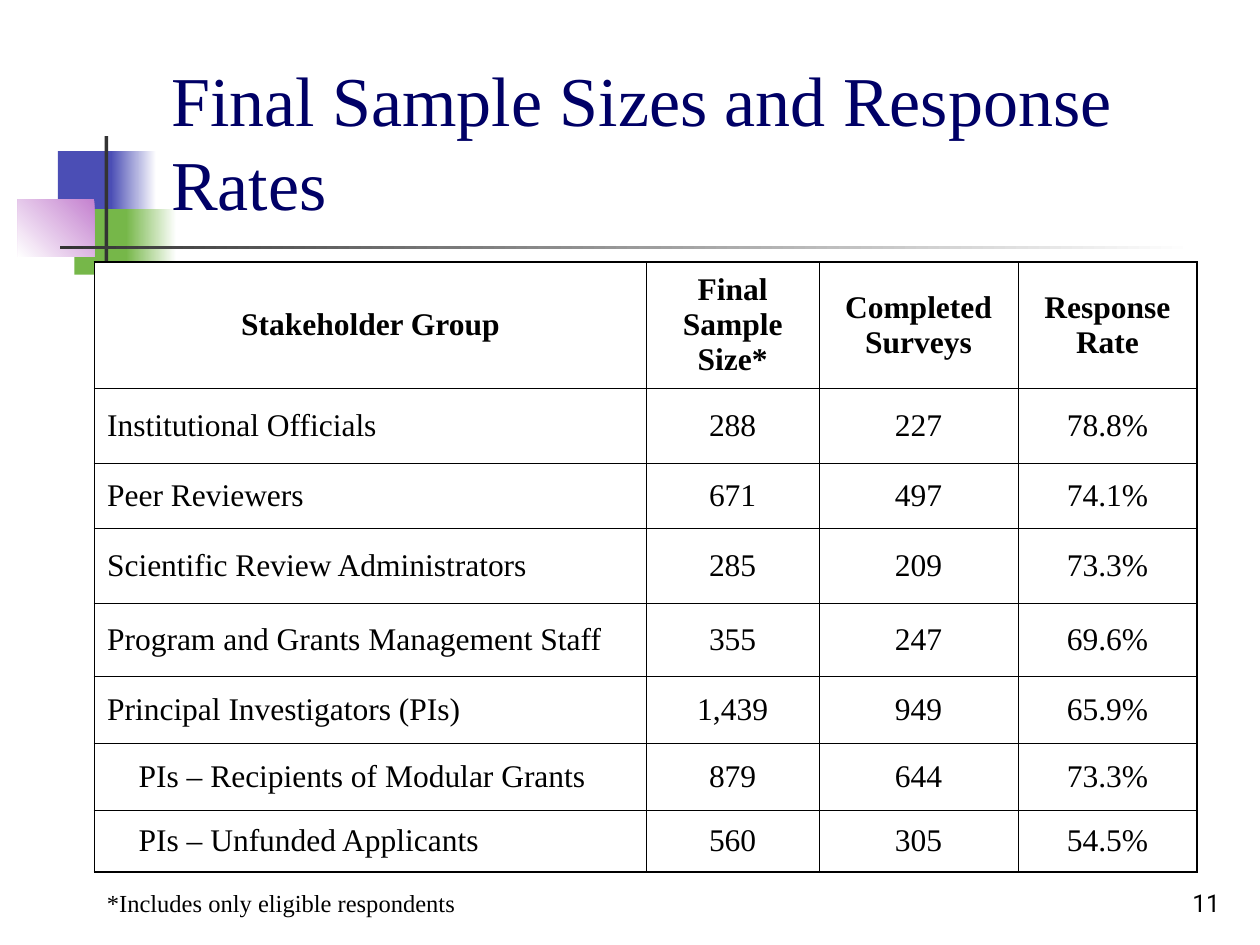
from pptx import Presentation
from pptx.dml.color import RGBColor
from pptx.enum.shapes import MSO_SHAPE
from pptx.enum.text import MSO_ANCHOR, MSO_AUTO_SIZE, PP_ALIGN
from pptx.oxml import parse_xml
from pptx.oxml.ns import nsdecls
from pptx.util import Inches, Pt

COLORS = {
    "white": "FFFFFF", "black": "000000", "navy": "000066", "blue": "4B4EB5",
    "green": "76B749", "pink": "C481CF", "charcoal": "333333",
}
SERIF = "Times New Roman"


def style_paragraph(para, size, color="black", name=SERIF, bold=False, align=PP_ALIGN.LEFT):
    para.alignment = align
    para.font.size = Pt(size)
    para.font.name = name
    para.font.bold = bold
    para.font.color.rgb = RGBColor.from_string(COLORS[color])


def add_border(cell, side, width):
    properties = cell._tc.get_or_add_tcPr()
    position = ["L", "R", "T", "B"].index(side)
    properties.insert(position, parse_xml(
        f'<a:ln{side} {nsdecls("a")} w="{Pt(width)}"><a:solidFill>'
        f'<a:srgbClr val="{COLORS["black"]}"/></a:solidFill></a:ln{side}>'))


deck = Presentation()
deck.slide_width = Inches(10)
deck.slide_height = Inches(7.5)
page = deck.slides.add_slide(deck.slide_layouts[5])

ornaments = [
    (0.46, 1.2, 0.48, 0.52, ["blue"], None),
    (0.88, 1.2, 0.36, 0.52, ["white", "blue"], 180),
    (0.59, 1.66, 0.46, 0.52, ["green"], None),
    (1, 1.66, 0.4, 0.52, ["white", "green"], 180),
    (0.14, 1.58, 0.61, 0.46, ["pink", "white"], 225),
    (0.83, 1.08, 0.03, 1.15, ["charcoal"], None),
    (0.48, 1.95, 9, 0.03, ["white", "charcoal"], 180),
]
for left, top, width, height, colors, angle in ornaments:
    ornament = page.shapes.add_shape(
        MSO_SHAPE.RECTANGLE, Inches(left), Inches(top), Inches(width), Inches(height))
    ornament.shadow.inherit = False
    ornament.line.fill.background()
    if angle is None:
        ornament.fill.solid()
        ornament.fill.fore_color.rgb = RGBColor.from_string(COLORS[colors[0]])
    else:
        ornament.fill.gradient()
        ornament.fill.gradient_angle = angle
        for stop, color in zip(ornament.fill.gradient_stops, colors):
            stop.color.rgb = RGBColor.from_string(COLORS[color])

title = page.shapes.title
title.left, title.top, title.width, title.height = (
    Inches(1.26), Inches(0.23), Inches(8.52), Inches(1.6))
title.text_frame.text = "Final Sample Sizes and Response Rates"
title.text_frame.auto_size = MSO_AUTO_SIZE.NONE
title.text_frame.vertical_anchor = MSO_ANCHOR.BOTTOM
style_paragraph(title.text_frame.paragraphs[0], 40, "navy")
page.shapes._spTree.append(title._element)

rows = [
    ("Stakeholder Group", "Final Sample Size*", "Completed Surveys", "Response Rate"),
    ("Institutional Officials", "288", "227", "78.8%"),
    ("Peer Reviewers", "671", "497", "74.1%"),
    ("Scientific Review Administrators", "285", "209", "73.3%"),
    ("Program and Grants Management Staff", "355", "247", "69.6%"),
    ("Principal Investigators (PIs)", "1,439", "949", "65.9%"),
    ("PIs – Recipients of Modular Grants", "879", "644", "73.3%"),
    ("PIs – Unfunded Applicants", "560", "305", "54.5%"),
]
column_widths = [4.38, 1.37, 1.58, 1.42]
row_heights = [1, 0.6, 0.51, 0.6, 0.58, 0.53, 0.53, 0.49]
last_row, last_column = len(rows) - 1, len(column_widths) - 1
table = page.shapes.add_table(
    len(rows), len(column_widths), Inches(0.75), Inches(2.08),
    Inches(sum(column_widths)), Inches(sum(row_heights))).table
table.horz_banding = False
for column, width in zip(table.columns, column_widths):
    column.width = Inches(width)
for row, height in zip(table.rows, row_heights):
    row.height = Inches(height)

for row_index, values in enumerate(rows):
    for column_index, value in enumerate(values):
        cell = table.cell(row_index, column_index)
        cell.text = value
        cell.vertical_anchor = MSO_ANCHOR.MIDDLE
        cell.fill.solid()
        cell.fill.fore_color.rgb = RGBColor.from_string(COLORS["white"])
        outer_sides = {"L": column_index == 0, "R": column_index == last_column,
                       "T": row_index == 0, "B": row_index == last_row}
        for side, is_outer in outer_sides.items():
            add_border(cell, side, 1.08 if is_outer else 0.45)
        para = cell.text_frame.paragraphs[0]
        is_header = row_index == 0
        is_label = column_index == 0 and not is_header
        style_paragraph(para, 18, bold=is_header,
                        align=PP_ALIGN.LEFT if is_label else PP_ALIGN.CENTER)
        if is_label and value.startswith("PIs"):
            para._p.get_or_add_pPr().set("marL", str(Inches(0.25)))

captions = [
    ("*Includes only eligible respondents", 0.75, 7, 3.33, 0.34,
     SERIF, PP_ALIGN.LEFT, MSO_ANCHOR.TOP),
    ("11", 7.7, 6.83, 2.08, 0.5, "Roboto", PP_ALIGN.RIGHT, MSO_ANCHOR.BOTTOM),
]
for text, left, top, width, height, name, align, anchor in captions:
    box = page.shapes.add_textbox(Inches(left), Inches(top), Inches(width), Inches(height))
    box.text_frame.word_wrap = True
    box.text_frame.vertical_anchor = anchor
    box.text_frame.text = text
    style_paragraph(box.text_frame.paragraphs[0], 14, name=name, align=align)

deck.save("out.pptx")
